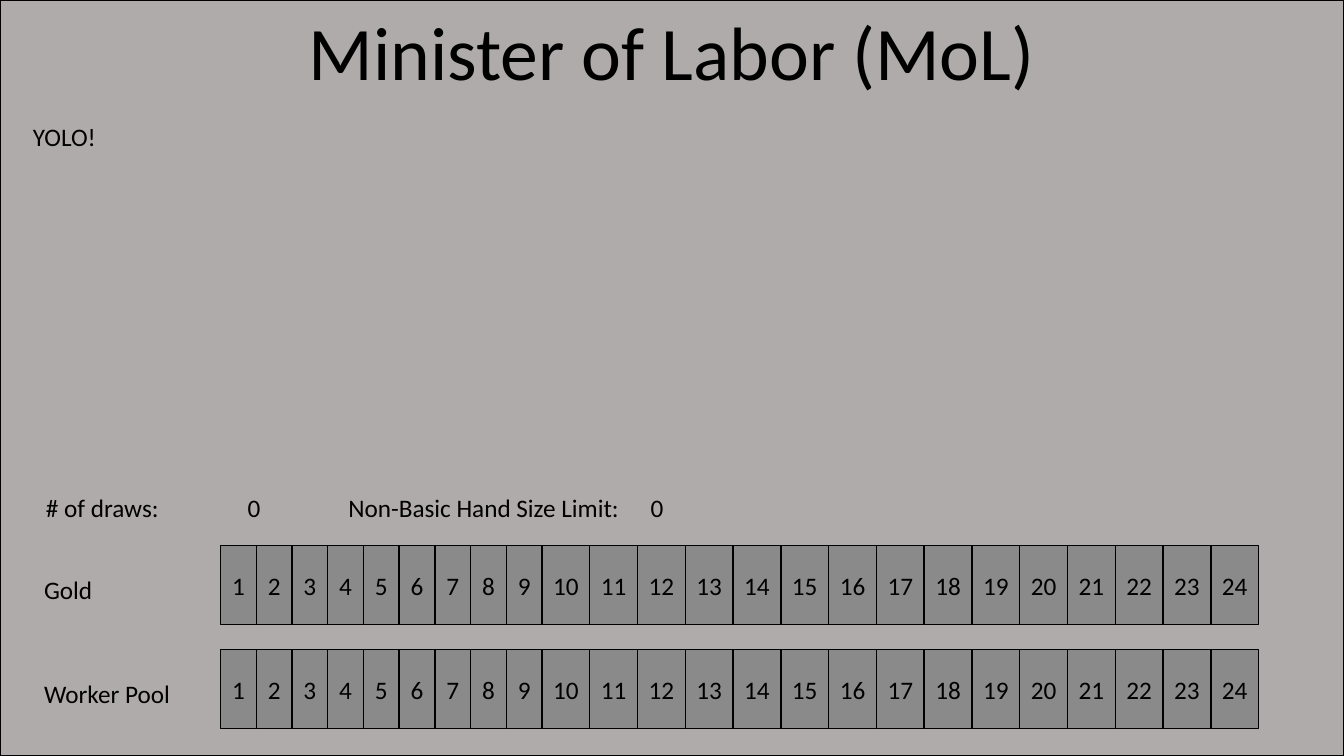
from dataclasses import dataclass

from lxml.etree import SubElement
from pptx import Presentation
from pptx.dml.color import RGBColor
from pptx.enum.shapes import MSO_SHAPE
from pptx.enum.text import MSO_ANCHOR as Anchor, MSO_AUTO_SIZE as AutoSize, PP_ALIGN as Align
from pptx.oxml.ns import qn
from pptx.shapes.autoshape import Shape
from pptx.slide import Slide
from pptx.util import Cm, Pt


@dataclass(frozen=True)
class Theme:
    font: str = "Calibri"
    ink: RGBColor = RGBColor(0x00, 0x00, 0x00)
    board: RGBColor = RGBColor(0xAF, 0xAB, 0xAB)
    cell: RGBColor = RGBColor(0x80, 0x80, 0x80)
    cell_opacity: int = 76
    title_size: int = 54
    body_size: int = 18
    outline: float = 1


@dataclass(frozen=True)
class Box:
    """A place on the slide, in centimetres."""
    left: float
    top: float
    width: float
    height: float

    def lengths(self) -> tuple[Cm, Cm, Cm, Cm]:
        return Cm(self.left), Cm(self.top), Cm(self.width), Cm(self.height)


@dataclass(frozen=True)
class Label:
    text: str
    box: Box
    tabs: tuple[float, ...] = ()


@dataclass(frozen=True)
class Track:
    """A named row of numbered cells."""
    label: Label
    top: float


THEME = Theme()
BOARD = Box(0, 0, 33.87, 19.05)
TITLE = Label("Minister of Labor (MoL)", Box(7.42, 0, 19.02, 2.57))
NOTES = (
    Label("YOLO!", Box(0.58, 2.92, 16.15, 1.02)),
    Label("# of draws:\t0\tNon-Basic Hand Size Limit:\t0",
          Box(0.91, 12.29, 17.65, 1.8), tabs=(5.08, 7.62, 15.24)),
)
TRACKS = (
    Track(Label("Gold", Box(0.86, 14.35, 4.98, 1.02)), top=13.75),
    Track(Label("Worker Pool", Box(0.86, 16.97, 4.98, 1.02)), top=16.37),
)

# One-digit cells are narrow; the two-digit cells share the rest of the track.
TRACK_LEFT, TRACK_RIGHT = 5.56, 31.72
CELL_HEIGHT = 1.99
LAST_DIGIT, LAST_NUMBER = 9, 24
DIGIT_WIDTH = 0.9
WIDE_LEFT = TRACK_LEFT + LAST_DIGIT * DIGIT_WIDTH
WIDE_WIDTH = (TRACK_RIGHT - WIDE_LEFT) / (LAST_NUMBER - LAST_DIGIT)

CENTRED_LINE = {"word_wrap": False, "auto_size": AutoSize.NONE}
NOTE_FRAME = {"word_wrap": True, "auto_size": AutoSize.NONE, "vertical_anchor": Anchor.TOP}
TITLE_FRAME = CENTRED_LINE | {"vertical_anchor": Anchor.TOP}
CELL_FRAME = CENTRED_LINE | {"vertical_anchor": Anchor.MIDDLE}


def apply(target: object, values: dict) -> None:
    for attribute, value in values.items():
        setattr(target, attribute, value)


def write(shape: Shape, label: Label, size: int, align: Align, frame_format: dict) -> None:
    frame = shape.text_frame
    apply(frame, frame_format)
    paragraph = frame.paragraphs[0]
    paragraph.alignment = align
    if label.tabs:
        stops = SubElement(paragraph._p.get_or_add_pPr(), qn("a:tabLst"))
        for position in label.tabs:
            SubElement(stops, qn("a:tab"), pos=str(Cm(position)), algn="l")
    run = paragraph.add_run()
    run.text = label.text
    apply(run.font, {"name": THEME.font, "size": Pt(size)})
    run.font.color.rgb = THEME.ink


def add_panel(slide: Slide, box: Box, fill: RGBColor) -> Shape:
    panel = slide.shapes.add_shape(MSO_SHAPE.RECTANGLE, *box.lengths())
    panel.shadow.inherit = False
    panel.fill.solid()
    panel.fill.fore_color.rgb = fill
    panel.line.color.rgb = THEME.ink
    panel.line.width = Pt(THEME.outline)
    return panel


def add_title(slide: Slide) -> None:
    title = slide.shapes.title
    places = ("left", "top", "width", "height")
    apply(title, dict(zip(places, TITLE.box.lengths())))
    write(title, TITLE, THEME.title_size, Align.CENTER, TITLE_FRAME)


def add_note(slide: Slide, note: Label) -> None:
    text_box = slide.shapes.add_textbox(*note.box.lengths())
    write(text_box, note, THEME.body_size, Align.LEFT, NOTE_FRAME)


def cell_box(number: int, top: float) -> Box:
    if number <= LAST_DIGIT:
        left, width = TRACK_LEFT + (number - 1) * DIGIT_WIDTH, DIGIT_WIDTH
    else:
        left, width = WIDE_LEFT + (number - LAST_DIGIT - 1) * WIDE_WIDTH, WIDE_WIDTH
    return Box(left, top, width, CELL_HEIGHT)


def add_track(slide: Slide, track: Track) -> None:
    add_note(slide, track.label)
    for number in range(1, LAST_NUMBER + 1):
        box = cell_box(number, track.top)
        cell = add_panel(slide, box, THEME.cell)
        colour = cell.element.spPr.find(f"{qn('a:solidFill')}/{qn('a:srgbClr')}")
        SubElement(colour, qn("a:alpha"), val=str(THEME.cell_opacity * 1000))
        write(cell, Label(str(number), box), THEME.body_size, Align.CENTER, CELL_FRAME)


def main() -> None:
    deck = Presentation()
    deck.slide_width, deck.slide_height = Cm(BOARD.width), Cm(BOARD.height)
    slide = deck.slides.add_slide(deck.slide_layouts.get_by_name("Title Only"))
    board = add_panel(slide, BOARD, THEME.board)
    slide.shapes.title.element.addprevious(board.element)
    add_title(slide)
    for note in NOTES:
        add_note(slide, note)
    for track in TRACKS:
        add_track(slide, track)
    deck.save("out.pptx")


if __name__ == "__main__":
    main()
